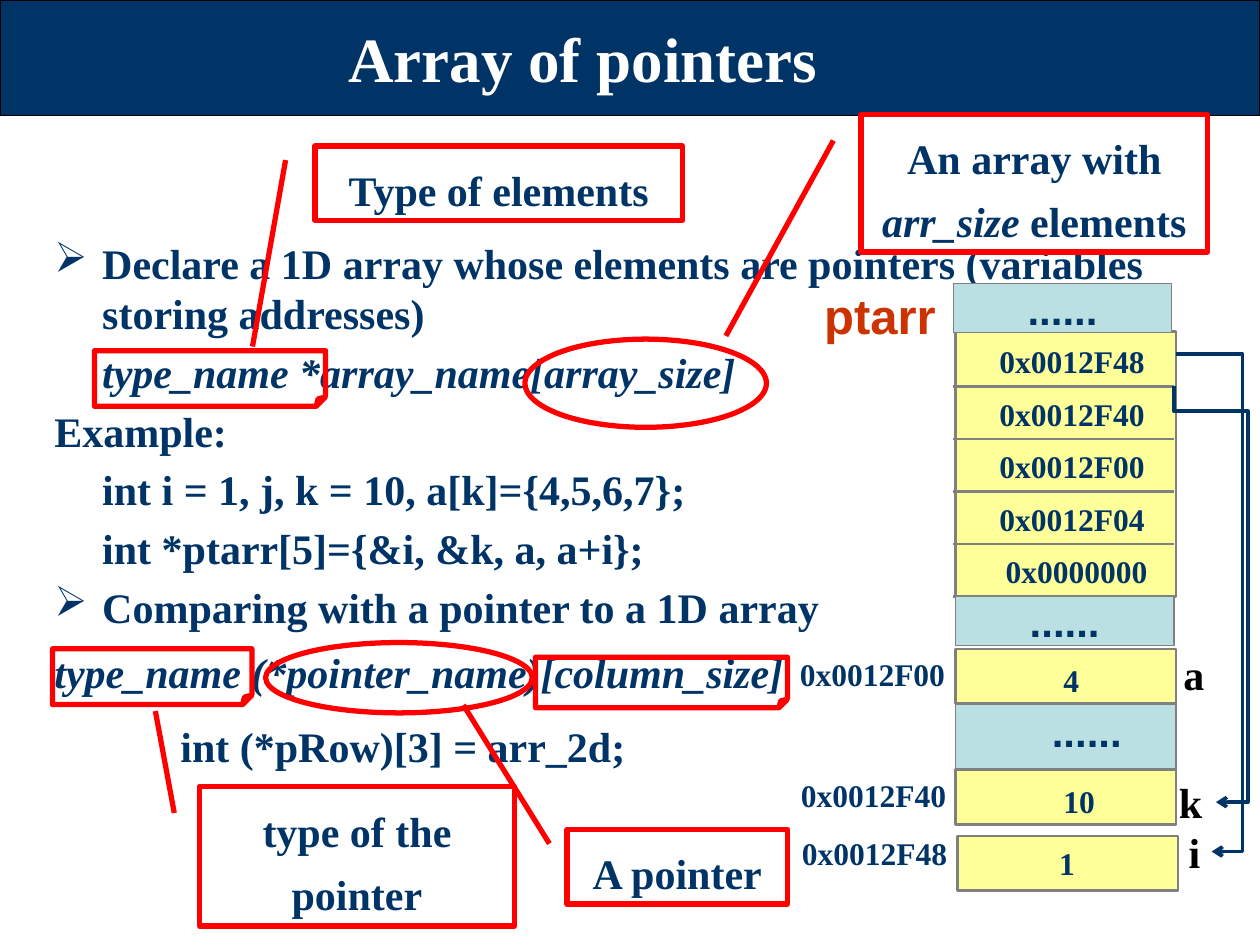
from dataclasses import dataclass
from lxml.etree import SubElement
from pptx import Presentation
from pptx.dml.color import RGBColor
from pptx.enum.shapes import MSO_CONNECTOR, MSO_SHAPE
from pptx.enum.text import MSO_ANCHOR, PP_ALIGN
from pptx.oxml.ns import qn
from pptx.util import Inches, Pt


@dataclass(frozen=True)
class Theme:
    navy: str = "003366"
    white: str = "FFFFFF"
    black: str = "000000"
    red: str = "FF0000"
    rust: str = "CC3300"
    gray: str = "808080"
    pale: str = "FFFF99"
    blue: str = "BBE0E3"
    serif: str = "Times New Roman"
    sans: str = "Arial"
    head: int = 36
    big: int = 28
    body: int = 24
    small: int = 18


T = Theme()
COLS, ROWS = 120, 90
WIDTH, HEIGHT = Inches(10), Inches(7.5)


def grid(x, y, w, h):
    return (int(WIDTH * x / COLS), int(HEIGHT * y / ROWS),
            int(WIDTH * w / COLS), int(HEIGHT * h / ROWS))


def rgb(code):
    return RGBColor.from_string(code)


def style(par, size=T.body, color=T.navy, face=T.serif, slant=False):
    font = par.font
    font.size, font.name, font.bold = Pt(size), face, True
    font.color.rgb = rgb(color)
    if slant:
        font.italic = True


def label(slide, box, text, mid=False, **look):
    frame = slide.shapes.add_textbox(*grid(*box)).text_frame
    frame.word_wrap = False
    par = frame.paragraphs[0]
    par.text = text
    if mid:
        frame.vertical_anchor = MSO_ANCHOR.MIDDLE
        par.alignment = PP_ALIGN.CENTER
    style(par, **look)


def block(slide, box, fill=None, line=T.gray, width=1.5, kind=MSO_SHAPE.RECTANGLE):
    shape = slide.shapes.add_shape(kind, *grid(*box))
    shape.shadow.inherit = False
    if fill:
        shape.fill.solid()
        shape.fill.fore_color.rgb = rgb(fill)
    else:
        shape.fill.background()
    shape.line.color.rgb = rgb(line)
    shape.line.width = Pt(width)
    return shape


def dots(slide, box):
    frame = block(slide, box, T.blue, width=0.75).text_frame
    frame.word_wrap = False
    frame.vertical_anchor = MSO_ANCHOR.MIDDLE
    par = frame.paragraphs[0]
    par.text = "......"
    par.alignment = PP_ALIGN.CENTER
    style(par, face=T.sans)


def join(slide, kind, start, end, color, width):
    line = slide.shapes.add_connector(kind, *grid(*start, *end))
    SubElement(line.element.spPr, qn("a:effectLst"))
    line.line.color.rgb = rgb(color)
    line.line.width = Pt(width)
    return line


def elbow(slide, start, end, bends):
    (x, y), (u, v) = start, end
    cx, cy = (x + u) / 2, (y + v) / 2
    w, h = (v - y) / 2, (u - x) / 2
    line = join(slide, MSO_CONNECTOR.ELBOW, (cx + w, cy - h), (cx - w, cy + h), T.navy, 2)
    props = line.element.spPr
    props.find(qn("a:xfrm")).set("rot", str(270 * 60000))
    geom = props.find(qn("a:prstGeom"))
    geom.set("prst", "bentConnector4")
    guides = geom.find(qn("a:avLst"))
    if guides is None:
        guides = SubElement(geom, qn("a:avLst"))
    for num, bend in enumerate(bends, 1):
        SubElement(guides, qn("a:gd"), name=f"adj{num}", fmla=f"val {round(bend * 100000)}")
    SubElement(props.find(qn("a:ln")), qn("a:tailEnd"), type="arrow")


def callout(slide, box, tip, parts):
    shape = block(slide, box, line=T.red, width=3, kind=MSO_SHAPE.LINE_CALLOUT_1)
    for num, value in enumerate((0.19, -0.08, *tip)):
        shape.adjustments[num] = value
    frame = shape.text_frame
    frame.word_wrap = True
    frame.vertical_anchor = MSO_ANCHOR.MIDDLE
    par = frame.paragraphs[0]
    par.alignment = PP_ALIGN.CENTER
    par.line_spacing = 1.25
    style(par)
    for text, slant in parts:
        run = par.add_run()
        run.text = text
        if slant:
            run.font.italic = True


def heading(slide):
    band = block(slide, (0, 0, COLS, 11), T.navy, T.black, 0.75)
    title = slide.shapes.title
    title.element.addprevious(band.element)
    title.left, title.top, title.width, title.height = grid(3, 1, 105, 9)
    frame = title.text_frame
    frame.text = "Array of pointers"
    frame.vertical_anchor = MSO_ANCHOR.MIDDLE
    par = frame.paragraphs[0]
    par.alignment = PP_ALIGN.CENTER
    style(par, T.head, T.white)


def prose(slide, items):
    frame = slide.shapes.add_textbox(*grid(4, 22, 113, 38)).text_frame
    frame.word_wrap = True
    for num, (kind, text) in enumerate(items):
        par = frame.paragraphs[0] if num == 0 else frame.add_paragraph()
        par.text = text
        props = par._p.get_or_add_pPr()
        if kind != "flush":
            props.set("marL", str(Inches(0.38)))
        if kind == "bullet":
            props.set("indent", str(-Inches(0.38)))
            SubElement(props, qn("a:buChar"), char="➢")
        if num:
            par.space_before = Pt(4.8)
        style(par, slant=kind == "slant")


def table(slide):
    label(slide, (74.8, 27.6, 18, 4.7), "ptarr", True, size=T.big, color=T.rust, face=T.sans)
    block(slide, (91, 31.6, 21, 25.2), T.pale)
    cells = ("0x0012F48", "0x0012F40", "0x0012F00", "0x0012F04", "0x0000000")
    for num, text in enumerate(cells):
        y = 36.8 + 5 * num
        join(slide, MSO_CONNECTOR.STRAIGHT, (90.8, y), (111.8, y), T.gray, 1.5)
        x = 94.6 if num == len(cells) - 1 else 94
        label(slide, (x, y - 4.8, 16.4, 4.8), text, size=T.small)
    dots(slide, (91, 56.8, 20.8, 4.7))
    dots(slide, (90.8, 27, 20.8, 4.7))


def memory(slide):
    block(slide, (91, 67.1, 21, 6.7), T.blue, width=0.75)
    label(slide, (99, 66.6, 9.1, 6.7), "......", face=T.sans)
    rows = (
        ("a", 111.5, 61.1, 4.4, "0x0012F00", 75, 61.8, "4", 100.1, 62.4, 91, 61.8),
        ("k", 111, 73.3, 4.8, "0x0012F40", 75.1, 73.3, "10", 100.1, 73.9, 91, 73.3),
        ("i", 112, 78.1, 3.5, "0x0012F48", 75.2, 78.8, "1", 99.7, 79.8, 91.2, 79.6),
    )
    for name, nx, ny, nw, addr, ax, ay, val, vx, vy, x, y in rows:
        block(slide, (x, y, 21, 5.2), T.pale)
        label(slide, (ax, ay, 16.4, 4.8), addr, size=T.small)
        label(slide, (vx, vy, 2 + 2 * len(val), 4.8), val, size=T.small)
        label(slide, (nx, ny, nw, 6.1), name, True, color=T.black)
    elbow(slide, (112, 33.7), (115.4, 81.1), (0, 1.86))
    elbow(slide, (111.8, 36.8), (115.8, 76.4), (0.06, 1.76))


def marks(slide):
    callout(slide, (82, 10.9, 33, 13.1), (1.61, -0.39),
            (("An array with ", False), ("arr_size", True), (" elements", False)))
    callout(slide, (30, 13.9, 35, 7.1), (2.69, -0.17), (("Type of elements", False),))
    callout(slide, (54, 79, 21, 7.1), (-1.67, -0.47), (("A pointer", False),))
    callout(slide, (19, 74.9, 30, 13.3), (-0.54, -0.14), (("type of the pointer", False),))
    for box in ((50, 32.3, 23, 8.4), (25.3, 61.2, 25.4, 6.7)):
        block(slide, box, line=T.red, width=3, kind=MSO_SHAPE.OVAL)
    for box in ((9, 33.4, 22, 5.3), (5, 61.8, 19, 5.3), (51, 62.6, 24, 4.8)):
        block(slide, box, line=T.red, width=3, kind=MSO_SHAPE.FOLDED_CORNER)


def main():
    deck = Presentation()
    deck.slide_width, deck.slide_height = WIDTH, HEIGHT
    slide = deck.slides.add_slide(deck.slide_layouts[5])
    heading(slide)
    prose(slide, (
        ("bullet", "Declare a 1D array whose elements are pointers (variables storing addresses)"),
        ("slant", "type_name *array_name[array_size]"),
        ("flush", "Example:"),
        ("plain", "int i = 1, j, k = 10, a[k]={4,5,6,7};"),
        ("plain", "int *ptarr[5]={&i, &k, a, a+i};"),
        ("bullet", "Comparing with a pointer to a 1D array"),
    ))
    table(slide)
    memory(slide)
    label(slide, (4, 61, 74, 6.1), "type_name (*pointer_name)[column_size]", slant=True)
    label(slide, (16, 68, 45, 6.1), "int (*pRow)[3] = arr_2d;")
    marks(slide)
    deck.save("out.pptx")


if __name__ == "__main__":
    main()
